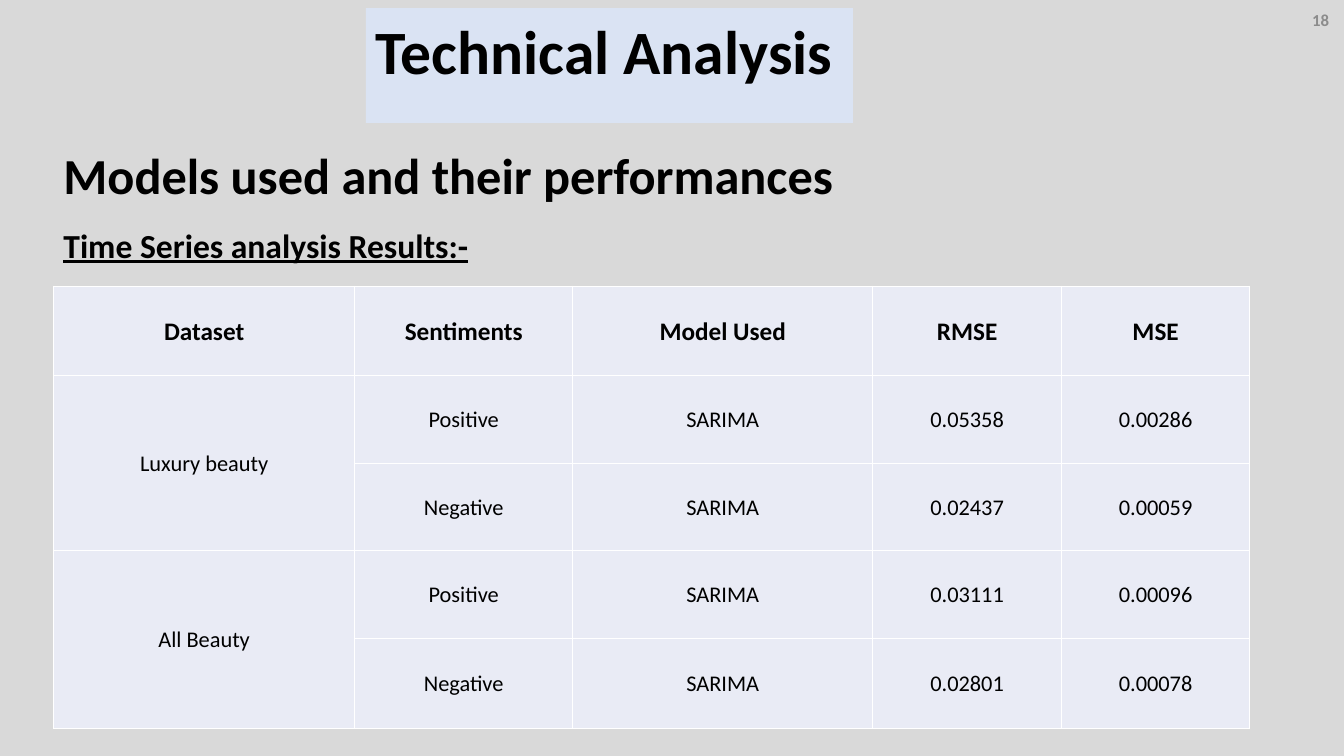
from dataclasses import dataclass

from lxml import etree
from pptx import Presentation
from pptx.dml.color import RGBColor
from pptx.enum.shapes import MSO_SHAPE
from pptx.enum.text import MSO_ANCHOR, PP_ALIGN
from pptx.oxml.ns import qn
from pptx.util import Pt

RECTANGLE = MSO_SHAPE.RECTANGLE
TOP, MIDDLE = MSO_ANCHOR.TOP, MSO_ANCHOR.MIDDLE
LEFT, CENTER = PP_ALIGN.LEFT, PP_ALIGN.CENTER


@dataclass(frozen=True)
class Theme:
    font: str = "Calibri"
    background: str = "D9D9D9"
    title_fill: str = "DAE3F3"
    cell_fill: str = "E9EBF5"
    border: str = "FFFFFF"
    ink: str = "000000"
    muted: str = "8C8C8C"
    title_size: int = 44
    heading_size: int = 36
    subheading_size: int = 24
    header_size: int = 18
    body_size: int = 16
    number_size: int = 12


THEME = Theme()

HEADERS = ["Dataset", "Sentiments", "Model Used", "RMSE", "MSE"]
RESULTS = {
    "Luxury beauty": [("Positive", "SARIMA", "0.05358", "0.00286"),
                      ("Negative", "SARIMA", "0.02437", "0.00059")],
    "All Beauty": [("Positive", "SARIMA", "0.03111", "0.00096"),
                   ("Negative", "SARIMA", "0.02801", "0.00078")],
}
COLUMN_SHARES = [2.99, 2.16, 2.98, 1.87, 1.87]
ROW_SHARES = [0.89, 0.87, 0.87, 0.87, 0.9]


def paint(fill, color):
    fill.solid()
    fill.fore_color.rgb = RGBColor.from_string(color)


def write(frame, text, size, color=THEME.ink, bold=True, underline=False,
          align=LEFT):
    paragraph = frame.paragraphs[0]
    paragraph.alignment = align
    run = paragraph.add_run()
    run.text = text
    font = run.font
    font.name, font.size = THEME.font, Pt(size)
    font.bold, font.underline = bold, underline
    font.color.rgb = RGBColor.from_string(color)


def add_label(slide, box, text, size, anchor=TOP, **style):
    frame = slide.shapes.add_textbox(*map(Pt, box)).text_frame
    frame.word_wrap = True
    frame.vertical_anchor = anchor
    write(frame, text, size, **style)


def add_title(slide, box):
    banner = slide.shapes.add_shape(RECTANGLE, *map(Pt, box))
    banner.shadow.inherit = False
    paint(banner.fill, THEME.title_fill)
    banner.line.fill.background()
    banner.text_frame.word_wrap = True
    banner.text_frame.vertical_anchor = TOP
    write(banner.text_frame, "Technical Analysis", THEME.title_size)


def add_headings(slide, box):
    left, top, width, height = box
    add_label(slide, (left, top, width, 51),
              "Models used and their performances", THEME.heading_size)
    add_label(slide, (left, top + height - 36, 391, 36),
              "Time Series analysis Results:-", THEME.subheading_size,
              underline=True)


def set_borders(cell):
    properties = cell._tc.get_or_add_tcPr()
    for position, side in enumerate(("a:lnL", "a:lnR", "a:lnT", "a:lnB")):
        line = etree.Element(qn(side), w=str(Pt(1)))
        solid = etree.SubElement(line, qn("a:solidFill"))
        etree.SubElement(solid, qn("a:srgbClr"), val=THEME.border)
        properties.insert(position, line)


def fill_cell(cell, text, is_header):
    cell.vertical_anchor = MIDDLE
    cell.margin_left = cell.margin_right = cell.margin_top = Pt(0.7)
    cell.margin_bottom = 0
    paint(cell.fill, THEME.cell_fill)
    set_borders(cell)
    if text:
        size = THEME.header_size if is_header else THEME.body_size
        write(cell.text_frame, text, size, bold=is_header, align=CENTER)


def add_results_table(slide, box):
    width, height = box[2:]
    # The dataset name appears only on the first row of its group
    rows = [HEADERS] + [
        [dataset if index == 0 else "", *scores]
        for dataset, group in RESULTS.items()
        for index, scores in enumerate(group)
    ]
    table = slide.shapes.add_table(len(rows), len(HEADERS),
                                   *map(Pt, box)).table
    for column, share in zip(table.columns, COLUMN_SHARES):
        column.width = Pt(width * share / sum(COLUMN_SHARES))
    for row, share in zip(table.rows, ROW_SHARES):
        row.height = Pt(height * share / sum(ROW_SHARES))
    for r, row in enumerate(rows):
        for c, text in enumerate(row):
            fill_cell(table.cell(r, c), text, r == 0)

    # Each dataset spans all its sentiment rows
    first = 1
    for group in RESULTS.values():
        last = first + len(group) - 1
        table.cell(first, 0).merge(table.cell(last, 0))
        first = last + 1


def add_page_number(slide, box):
    add_label(slide, box, "18", THEME.number_size, anchor=MIDDLE,
              color=THEME.muted, align=CENTER)


def main():
    deck = Presentation()
    deck.slide_width, deck.slide_height = Pt(960), Pt(540)
    slide = deck.slides.add_slide(deck.slide_layouts[6])
    paint(slide.background.fill, THEME.background)

    add_results_table(slide, (38.2, 204.5, 854.6, 316))
    add_headings(slide, (38.2, 99.4, 655, 93.6))
    add_page_number(slide, (926.6, 0, 33.4, 28.8))
    add_title(slide, (261.4, 5.8, 347.8, 82))
    deck.save("out.pptx")


if __name__ == "__main__":
    main()
